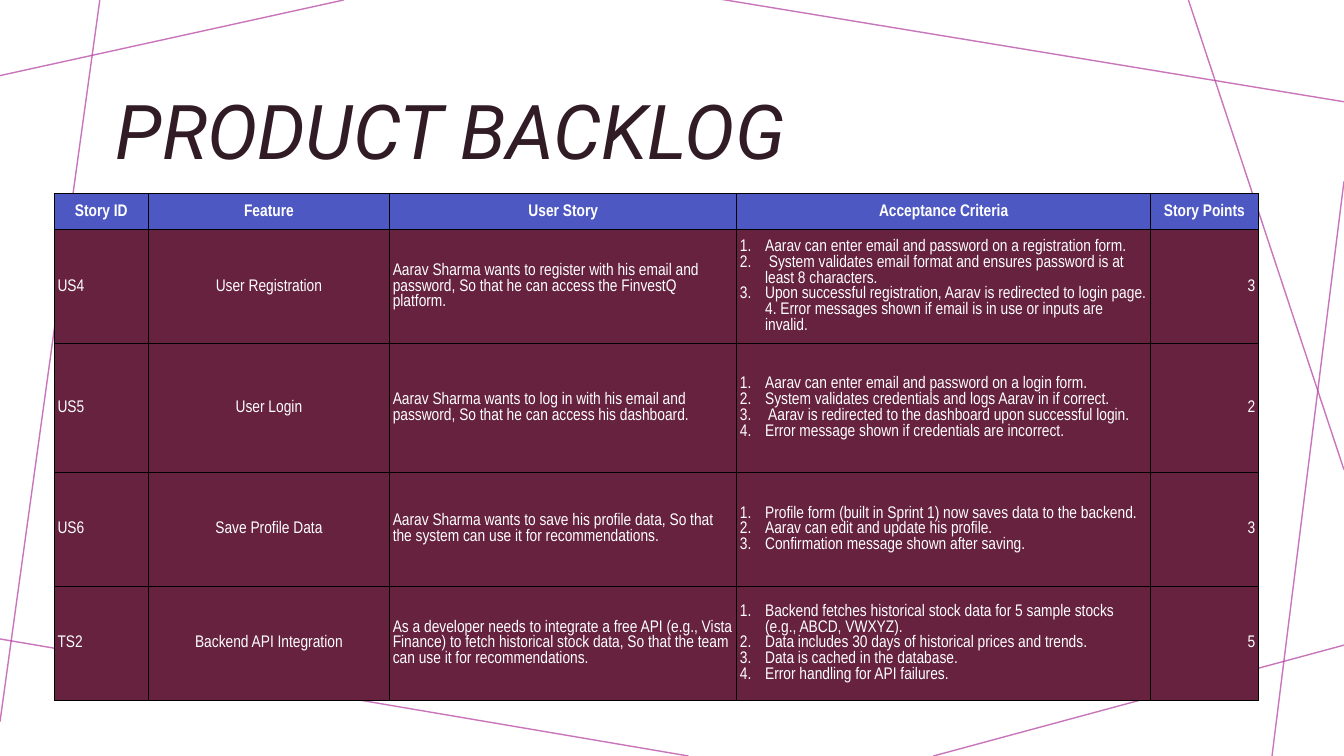
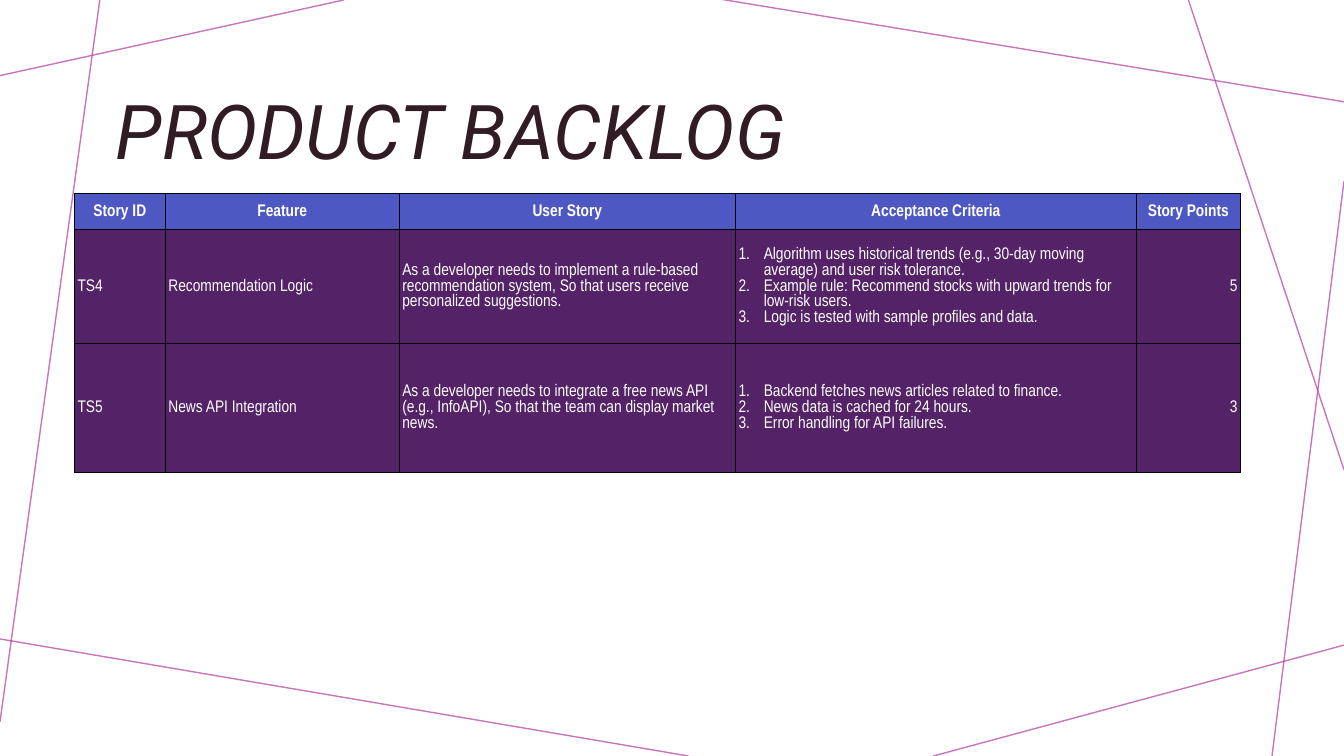
from dataclasses import dataclass
from typing import Any, NamedTuple

from lxml.etree import SubElement
from pptx import Presentation
from pptx.dml.color import RGBColor
from pptx.enum.shapes import MSO_CONNECTOR
from pptx.enum.text import MSO_ANCHOR, PP_ALIGN
from pptx.oxml.ns import qn
from pptx.slide import Slide, SlideLayout
from pptx.util import Pt


@dataclass(frozen=True)
class Theme:
    ink: str = "311B25"
    line: str = "B13B9F"
    head: str = "4D58C3"
    wine: str = "66223F"
    plum: str = "542266"
    edge: str = "000000"
    text: str = "FFFFFF"
    title_font: str = "Roboto"
    cell_font: str = "Arial Narrow"
    title_size: float = 54
    cell_size: float = 12


class Ray(NamedTuple):
    x1: float
    y1: float
    x2: float
    y2: float


class Story(NamedTuple):
    key: str
    feature: str
    tale: str
    checks: list[str]
    points: str


@dataclass(frozen=True)
class Backlog:
    left: float
    width: float
    fill: str
    align: PP_ALIGN
    stories: list[Story]


THEME = Theme()
WIDE, HIGH = 960, 540
TOP = 138.5
HEADS = ["Story ID", "Feature", "User Story", "Acceptance Criteria", "Story Points"]
COLS = [67, 172.5, 248, 295.5, 77]
ROWS = [25.5, 81.5, 92, 81.5, 81.5]

RAYS = [
    Ray(245.5, 0, 0, 54),
    Ray(71.3, 0, 0, 515.5),
    Ray(491.8, HIGH, -3.6, 455.8),
    Ray(WIDE, 460.8, 666.7, HIGH),
    Ray(WIDE, 129.6, 908.6, HIGH),
    Ray(WIDE, 335.5, 848.9, 0),
    Ray(WIDE, 72.7, 514.1, -0.7),
]

BACKLOGS = [
    Backlog(38.9, 860, THEME.wine, PP_ALIGN.CENTER, [
        Story(
            "US4",
            "User Registration",
            "Aarav Sharma wants to register with his email and password, "
            "So that he can access the FinvestQ platform.",
            [
                "Aarav can enter email and password on a registration form.",
                " System validates email format and ensures password is at least 8 characters.",
                "Upon successful registration, Aarav is redirected to login page. "
                "4. Error messages shown if email is in use or inputs are invalid.",
            ],
            "3",
        ),
        Story(
            "US5",
            "User Login",
            "Aarav Sharma wants to log in with his email and password, "
            "So that he can access his dashboard.",
            [
                "Aarav can enter email and password on a login form.",
                "System validates credentials and logs Aarav in if correct.",
                " Aarav is redirected to the dashboard upon successful login.",
                "Error message shown if credentials are incorrect.",
            ],
            "2",
        ),
        Story(
            "US6",
            "Save Profile Data",
            "Aarav Sharma wants to save his profile data, "
            "So that the system can use it for recommendations.",
            [
                "Profile form (built in Sprint 1) now saves data to the backend.",
                "Aarav can edit and update his profile.",
                "Confirmation message shown after saving.",
            ],
            "3",
        ),
        Story(
            "TS2",
            "Backend API Integration",
            "As a developer needs to integrate a free API (e.g., Vista Finance) "
            "to fetch historical stock data, So that the team can use it for recommendations.",
            [
                "Backend fetches historical stock data for 5 sample stocks (e.g., ABCD, VWXYZ).",
                "Data includes 30 days of historical prices and trends.",
                "Data is cached in the database.",
                "Error handling for API failures.",
            ],
            "5",
        ),
    ]),
    Backlog(53.2, 833, THEME.plum, PP_ALIGN.LEFT, [
        Story(
            "TS4",
            "Recommendation Logic",
            "As a developer needs to implement a rule-based recommendation system, "
            "So that users receive personalized suggestions.",
            [
                "Algorithm uses historical trends (e.g., 30-day moving average) "
                "and user risk tolerance.",
                "Example rule: Recommend stocks with upward trends for low-risk users.",
                "Logic is tested with sample profiles and data.",
            ],
            "5",
        ),
        Story(
            "TS5",
            "News API Integration",
            "As a developer needs to integrate a free news API (e.g., InfoAPI), "
            "So that the team can display market news.",
            [
                "Backend fetches news articles related to finance.",
                "News data is cached for 24 hours.",
                "Error handling for API failures.",
            ],
            "3",
        ),
    ]),
]


def add_run(para: Any, text: str, font: str, size: float, color: str,
            bold: bool = False, slant: bool = False) -> None:
    run = para.add_run()
    run.text = text
    run.font.name = font
    run.font.size = Pt(size)
    run.font.bold = bold
    run.font.italic = slant
    run.font.color.rgb = RGBColor.from_string(color)


def add_ray(slide: Slide, ray: Ray) -> Any:
    line = slide.shapes.add_connector(MSO_CONNECTOR.STRAIGHT, *map(Pt, ray))
    line.line.width = Pt(1)
    line.line.color.rgb = RGBColor.from_string(THEME.line)
    for color in line.element.iter(qn("a:srgbClr")):
        SubElement(color, qn("a:alpha"), val="70000")
    SubElement(line.element.spPr, qn("a:effectLst"))
    return line


def set_layout(layout: SlideLayout, slide: Slide) -> None:
    for holder in list(layout.placeholders):
        if holder.placeholder_format.idx:
            holder.element.getparent().remove(holder.element)
    for line in [add_ray(slide, ray) for ray in RAYS]:
        layout.shapes.element.append(line.element)


def set_title(slide: Slide, text: str) -> None:
    title = slide.shapes.title
    title.left, title.top, title.width, title.height = map(Pt, (75.6, 42.5, 753, 87))
    frame = title.text_frame
    frame.word_wrap = True
    frame.vertical_anchor = MSO_ANCHOR.BOTTOM
    para = frame.paragraphs[0]
    para.alignment = PP_ALIGN.LEFT
    para.line_spacing = 0.9
    add_run(para, text, THEME.title_font, THEME.title_size, THEME.ink, slant=True)


def set_edges(cell: Any) -> None:
    props = cell._tc.get_or_add_tcPr()
    for side in ("lnL", "lnR", "lnT", "lnB"):
        edge = SubElement(props, qn(f"a:{side}"), w=str(Pt(1)))
        fill = SubElement(edge, qn("a:solidFill"))
        SubElement(fill, qn("a:srgbClr"), val=THEME.edge)


def set_cell(cell: Any, lines: list[str], fill: str, align: PP_ALIGN,
             head: bool = False, count: bool = False) -> None:
    set_edges(cell)
    cell.fill.solid()
    cell.fill.fore_color.rgb = RGBColor.from_string(fill)
    cell.vertical_anchor = MSO_ANCHOR.MIDDLE
    cell.margin_left = cell.margin_right = Pt(1.5 if head else 2.2)
    cell.margin_top = cell.margin_bottom = Pt(0.7 if head else 1.5)
    frame = cell.text_frame
    for i, text in enumerate(lines):
        para = frame.add_paragraph() if i else frame.paragraphs[0]
        para.alignment = align
        if count:
            props = para._p.get_or_add_pPr()
            props.set("marL", str(Pt(18)))
            props.set("indent", str(-Pt(18)))
            SubElement(props, qn("a:buFont"), typeface="+mj-lt")
            SubElement(props, qn("a:buAutoNum"), type="arabicPeriod")
        add_run(para, text, THEME.cell_font, THEME.cell_size, THEME.text, bold=head)


def add_backlog(slide: Slide, log: Backlog) -> None:
    rows = ROWS[:len(log.stories) + 1]
    frame = slide.shapes.add_table(
        len(rows), len(COLS), Pt(log.left), Pt(TOP), Pt(log.width), Pt(sum(rows)))
    table = frame.table
    for col, width in zip(table.columns, COLS):
        col.width = Pt(width * log.width / sum(COLS))
    for row, height in zip(table.rows, rows):
        row.height = Pt(height)
    for c, text in enumerate(HEADS):
        set_cell(table.cell(0, c), [text], THEME.head, PP_ALIGN.CENTER, head=True)
    aligns = [PP_ALIGN.LEFT, log.align, PP_ALIGN.LEFT, PP_ALIGN.LEFT, PP_ALIGN.RIGHT]
    for r, story in enumerate(log.stories, 1):
        for c, (part, align) in enumerate(zip(story, aligns)):
            count = isinstance(part, list)
            set_cell(table.cell(r, c), part if count else [part], log.fill, align, count=count)


def main() -> None:
    deck = Presentation()
    deck.slide_width, deck.slide_height = Pt(WIDE), Pt(HIGH)
    layout = deck.slide_layouts[5]
    for i, log in enumerate(BACKLOGS):
        slide = deck.slides.add_slide(layout)
        if i == 0:
            set_layout(layout, slide)
        set_title(slide, "PRODUCT BACKLOG")
        add_backlog(slide, log)
    deck.save("out.pptx")


if __name__ == "__main__":
    main()
